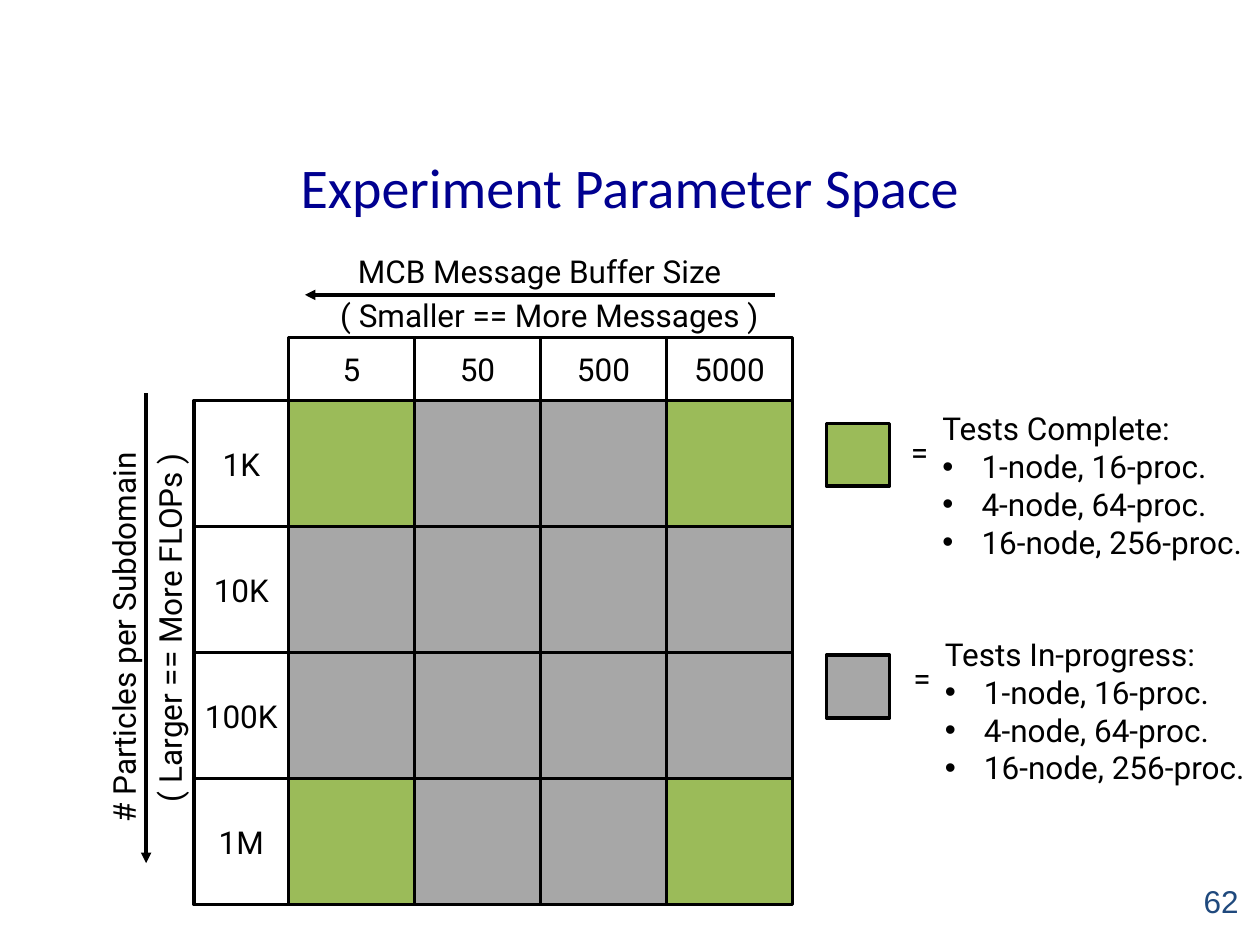
from lxml.etree import SubElement
from pptx import Presentation
from pptx.dml.color import RGBColor
from pptx.enum.shapes import MSO_CONNECTOR as Connector, MSO_SHAPE as Shape
from pptx.enum.text import MSO_ANCHOR as Anchor, PP_ALIGN as Align
from pptx.oxml.ns import qn
from pptx.util import Pt

PX = 9144
BLACK = RGBColor(0x00, 0x00, 0x00)
NAVY = RGBColor(0x00, 0x00, 0x90)
BLUE = RGBColor(0x1F, 0x49, 0x7D)
GREEN = RGBColor(0x9B, 0xBB, 0x59)
GRAY = RGBColor(0xA7, 0xA7, 0xA7)

LABEL = {"name": "Roboto", "size": Pt(18)}
TITLE = {"name": "Calibri", "size": Pt(32)}
NUMBER = {"name": "Arial", "size": Pt(18)}
INSET = 5
FRAME = {
    "word_wrap": True,
    "margin_left": INSET * PX,
    "margin_right": INSET * PX,
    "margin_top": INSET * PX,
    "margin_bottom": INSET * PX,
}
BULLET_INDENT = 31
CELL = 100
HEADER_HEIGHT = 50
ROW_LABEL_WIDTH = 75
BUFFER_SIZES = ["5", "50", "500", "5000"]
PARTICLE_COUNTS = ["1K", "10K", "100K", "1M"]
COMPLETE_CELLS = {(0, 0), (0, 3), (3, 0), (3, 3)}
RUNS = ["1-node, 16-proc.", "4-node, 64-proc.", "16-node, 256-proc."]


def emu(*lengths):
    """Turn px lengths into EMU."""
    return [length * PX for length in lengths]


def apply(target, values):
    """Set each named attribute on the target."""
    for attribute, value in values.items():
        setattr(target, attribute, value)


def add_bullet(paragraph):
    """Give a paragraph a hanging round bullet."""
    properties = paragraph._p.get_or_add_pPr()
    properties.set("marL", str(BULLET_INDENT * PX))
    properties.set("indent", str(-BULLET_INDENT * PX))
    SubElement(properties, qn("a:buFont"), typeface="Arial")
    SubElement(properties, qn("a:buChar"), char="•")


def write(holder, lines, font=LABEL, color=BLACK, align=Align.LEFT, anchor=Anchor.TOP):
    """Fill a text frame, with bullets on every line after the first."""
    frame = holder.text_frame
    apply(frame, {**FRAME, "vertical_anchor": anchor})
    for index, line in enumerate(lines):
        paragraph = frame.add_paragraph() if index else frame.paragraphs[0]
        if index:
            add_bullet(paragraph)
        paragraph.alignment = align
        paragraph.text = line
        apply(paragraph.font, font)
        paragraph.font.color.rgb = color


def add_text(shapes, box, lines, rotation=0, **style):
    """Add a text box in the given box."""
    label = shapes.add_textbox(*emu(*box))
    label.rotation = rotation
    write(label, lines, **style)


def add_square(shapes, box, fill=None, text=None):
    """Add an outlined rectangle, filled or labelled."""
    square = shapes.add_shape(Shape.RECTANGLE, *emu(*box))
    square.shadow.inherit = False
    apply(square.line, {"width": Pt(2)})
    square.line.color.rgb = BLACK
    if fill is None:
        square.fill.background()
    else:
        square.fill.solid()
        square.fill.fore_color.rgb = fill
    if text:
        write(square, [text], align=Align.CENTER, anchor=Anchor.MIDDLE)


def add_arrow(shapes, start, end):
    """Add a black line with a triangle at its end."""
    arrow = shapes.add_connector(Connector.STRAIGHT, *emu(*start, *end))
    arrow.line.width = Pt(2)
    arrow.line.color.rgb = BLACK
    SubElement(arrow.line._get_or_add_ln(), qn("a:tailEnd"), type="triangle")
    SubElement(arrow._element.spPr, qn("a:effectLst"))


def build_title(slide, box):
    """Place the title placeholder."""
    title = slide.shapes.title
    apply(title, dict(zip(("left", "top", "width", "height"), emu(*box))))
    write(title, ["Experiment Parameter Space"], TITLE, NAVY, Align.CENTER, Anchor.MIDDLE)


def build_legend(slide, left, top, status, color, equals_at, runs_box):
    """Place a colour key with its meaning."""
    shapes = slide.shapes.add_group_shape().shapes
    add_square(shapes, (left, top, 50, 50), color)
    x, y, width, height = runs_box
    add_text(shapes, (left + x, top + y, width, height), [status, *RUNS])
    x, y = equals_at
    add_text(shapes, (left + x, top + y, 36, 40), ["="])


def build_grid(slide, left, top):
    """Place the parameter grid, its headers and both axes."""
    shapes = slide.shapes.add_group_shape().shapes
    for row, count in enumerate(PARTICLE_COUNTS):
        y = top + row * CELL
        for column in range(len(BUFFER_SIZES)):
            color = GREEN if (row, column) in COMPLETE_CELLS else GRAY
            add_square(shapes, (left + column * CELL, y, CELL, CELL), color)
        add_square(shapes, (left - ROW_LABEL_WIDTH, y, ROW_LABEL_WIDTH, CELL), text=count)
    for column, size in enumerate(BUFFER_SIZES):
        header = (left + column * CELL, top - HEADER_HEIGHT, CELL, HEADER_HEIGHT)
        add_square(shapes, header, text=size)
    add_text(shapes, (left + 50, top - 123, 320, 40), ["MCB Message Buffer Size"])
    add_arrow(shapes, (left + 386, top - 84), (left + 13, top - 84))
    add_text(shapes, (left + 36, top - 88, 351, 40), ["( Smaller == More Messages )"])
    add_text(shapes, (left - 291, top + 160, 320, 40), ["# Particles per Subdomain"], 270)
    add_arrow(shapes, (left - 113, top - 6), (left - 113, top + 367))
    add_text(shapes, (left - 256, top + 142, 323, 40), ["( Larger == More FLOPs )"], 270)


def build_slide_number(slide, box):
    """Place the slide number."""
    add_text(slide.shapes, box, ["62"], font=NUMBER, color=BLUE,
             align=Align.RIGHT, anchor=Anchor.MIDDLE)


def main():
    """Build and save the slide."""
    deck = Presentation()
    deck.slide_width, deck.slide_height = emu(1000, 750)
    slide = deck.slides.add_slide(deck.slide_layouts.get_by_name("Title Only"))
    build_title(slide, (50, 94, 900, 108))
    build_legend(slide, 656, 520, "Tests In-progress:", GRAY, (64, -2), (89, -21, 280, 131))
    build_legend(slide, 656, 336, "Tests Complete:", GREEN, (62, 3), (87, -16, 255, 131))
    build_grid(slide, 229, 318)
    build_slide_number(slide, (755, 695, 233, 40))
    deck.save("out.pptx")


if __name__ == "__main__":
    main()
